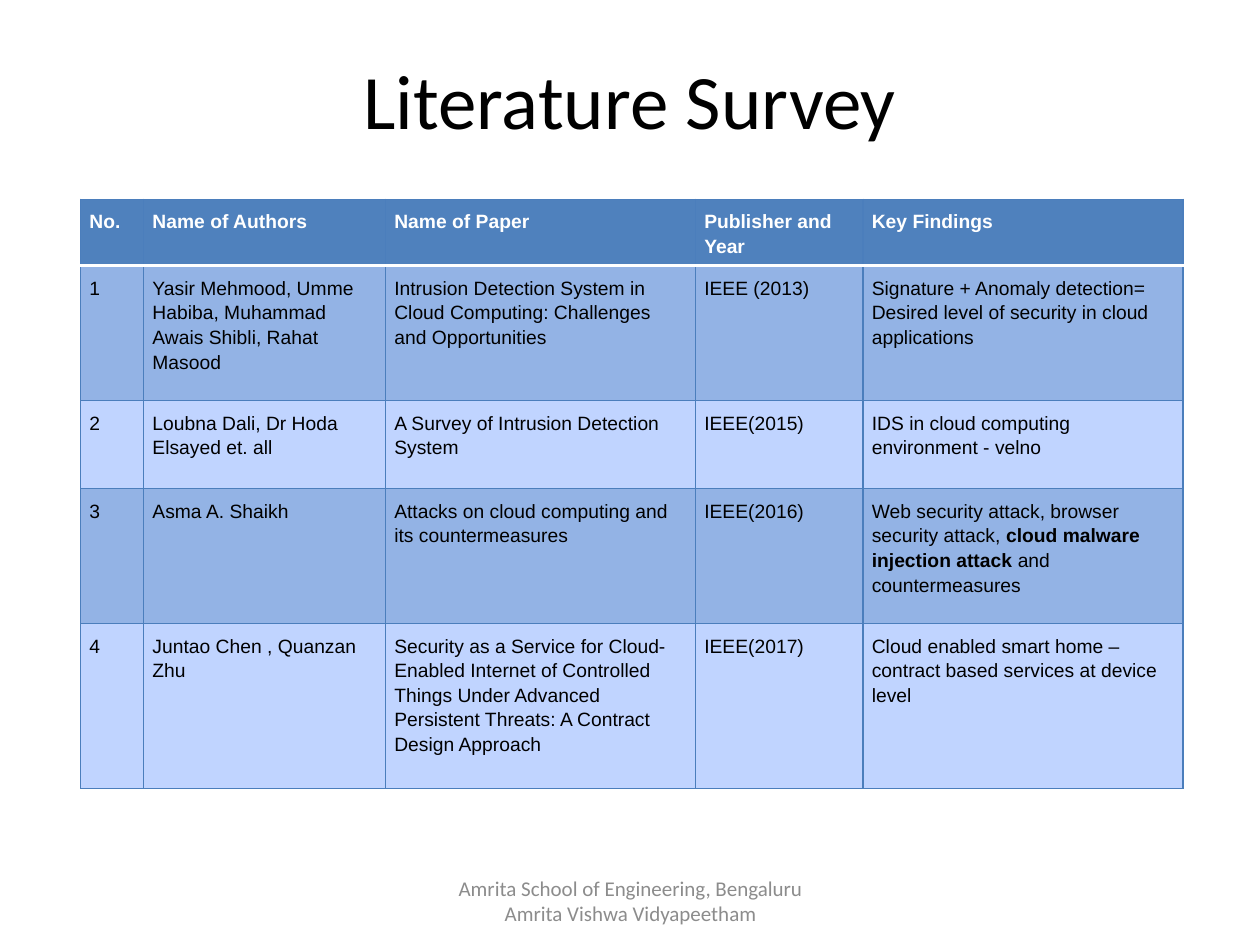
"""Build the literature survey slide with its table of papers."""
from lxml.etree import SubElement
from pptx import Presentation
from pptx.dml.color import RGBColor
from pptx.enum.text import MSO_ANCHOR as Anchor, PP_ALIGN as Align
from pptx.oxml.ns import qn
from pptx.util import Inches, Pt

COLORS = {
    "black": "000000", "white": "FFFFFF", "footer": "8C8C8C", "header": "4F81BD",
    "border": "4B7EBC", "odd": "93B3E5", "even": "C0D4FF",
}
COLUMN_WIDTHS = [0.5, 1.92, 2.46, 1.33, 2.54]
ROW_HEIGHTS = [0.53, 1.07, 0.7, 1.07, 1.31]
ROWS = [
    ["No.", "Name of Authors", "Name of Paper", "Publisher and Year", "Key Findings"],
    ["1", "Yasir Mehmood, Umme Habiba, Muhammad Awais Shibli, Rahat Masood",
     "Intrusion Detection System in Cloud Computing: Challenges and Opportunities",
     "IEEE (2013)",
     "Signature + Anomaly detection= Desired level of security in cloud applications"],
    ["2", "Loubna Dali, Dr Hoda Elsayed et. all", "A Survey of Intrusion Detection System",
     "IEEE(2015)", "IDS in cloud computing environment - velno"],
    ["3", "Asma A. Shaikh", "Attacks on cloud computing and its countermeasures", "IEEE(2016)",
     "Web security attack, browser security attack, |cloud malware injection attack"
     "| and countermeasures"],
    ["4", "Juntao Chen , Quanzan Zhu",
     "Security as a Service for Cloud-Enabled Internet of Controlled Things Under Advanced "
     "Persistent Threats: A Contract Design Approach",
     "IEEE(2017)", "Cloud enabled smart home – contract based services at device level"],
]


def set_font(font, color, **values):
    font.color.rgb = RGBColor.from_string(COLORS[color])
    for name, value in values.items():
        setattr(font, name, value)


def add_border(cell, side, color, points):
    line = SubElement(cell._tc.get_or_add_tcPr(), qn(f"a:ln{side}"), w=str(Pt(points)))
    SubElement(SubElement(line, qn("a:solidFill")), qn("a:srgbClr"), val=COLORS[color])


prs = Presentation()
prs.slide_width, prs.slide_height = Inches(10), Inches(7.5)
slide = prs.slides.add_slide(prs.slide_layouts[5])

title = slide.shapes.title
title.left, title.top = Inches(0.5), Inches(0.16)
title.width, title.height = Inches(9), Inches(1.25)
title.text_frame.vertical_anchor = Anchor.MIDDLE
heading = title.text_frame.paragraphs[0]
heading.text = "Literature Survey"
heading.alignment = Align.CENTER
set_font(heading.runs[0].font, "black", name="Calibri", size=Pt(44))

survey = slide.shapes.add_table(
    len(ROWS), len(COLUMN_WIDTHS), Inches(0.64), Inches(1.58),
    Inches(sum(COLUMN_WIDTHS)), Inches(sum(ROW_HEIGHTS))).table
survey.horz_banding = False
for column, width in zip(survey.columns, COLUMN_WIDTHS):
    column.width = Inches(width)
for row, height in zip(survey.rows, ROW_HEIGHTS):
    row.height = Inches(height)

for row_no, entries in enumerate(ROWS):
    is_header = row_no == 0
    fill = "header" if is_header else "odd" if row_no % 2 else "even"
    for column_no, entry in enumerate(entries):
        cell = survey.cell(row_no, column_no)
        for side in ("left", "right", "top", "bottom"):
            setattr(cell, f"margin_{side}", Inches(0.07))
        for side in "LRTB":
            under_header = (row_no, side) in ((0, "B"), (1, "T"))
            add_border(cell, side, *(("white", 2) if under_header else ("border", 0.75)))
        cell.fill.solid()
        cell.fill.fore_color.rgb = RGBColor.from_string(COLORS[fill])
        paragraph = cell.text_frame.paragraphs[0]
        paragraph.line_spacing = 1.15
        for part_no, part in enumerate(entry.split("|")):
            run = paragraph.add_run()
            run.text = part
            set_font(run.font, "white" if is_header else "black", name="Arial", size=Pt(11),
                     bold=is_header or part_no == 1)

footer = slide.shapes.add_textbox(Inches(3.42), Inches(6.95), Inches(3.17), Inches(0.4)).text_frame
footer.word_wrap = True
footer.vertical_anchor = Anchor.MIDDLE
institution = footer.paragraphs[0]
institution.text = "Amrita School of Engineering, Bengaluru\vAmrita Vishwa Vidyapeetham"
institution.alignment = Align.CENTER
for run in institution.runs:
    set_font(run.font, "footer", name="Calibri", size=Pt(12))

prs.save("out.pptx")
